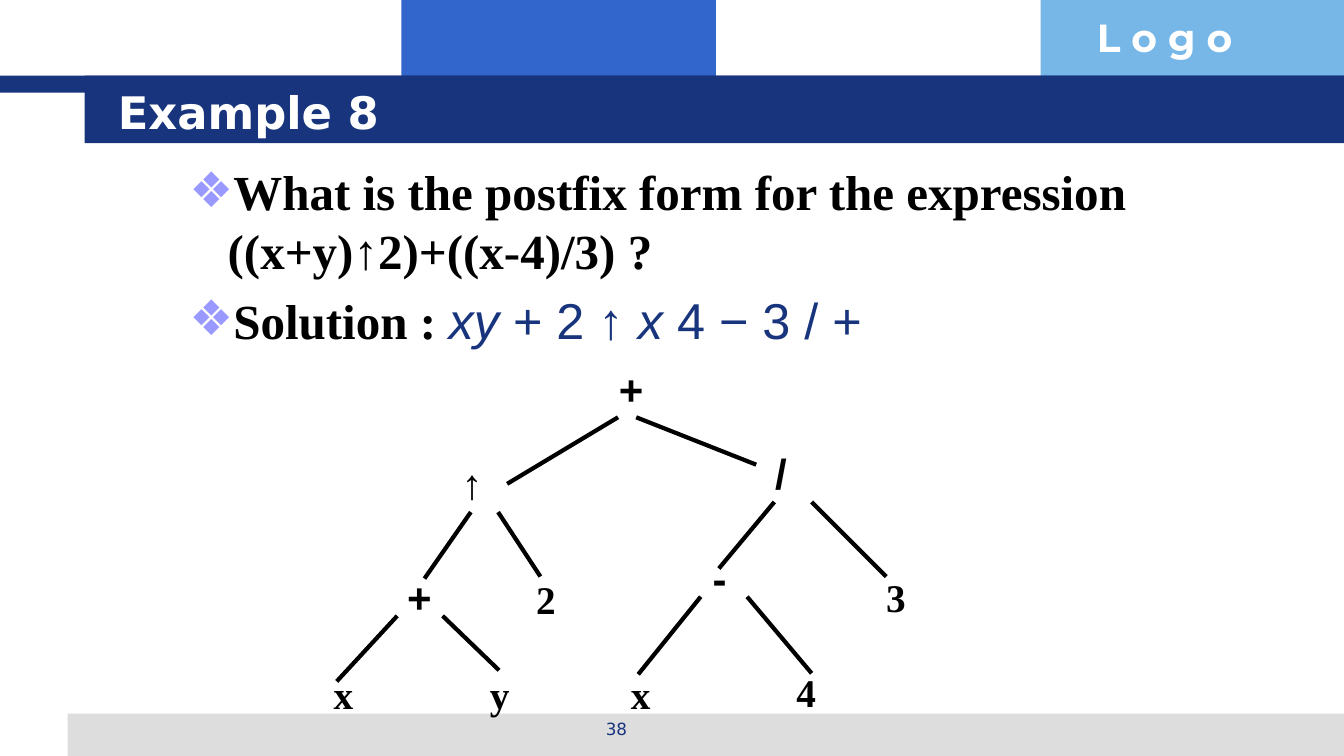
"""Build the Example 8 slide: postfix form of an expression and its tree."""
from dataclasses import dataclass

from lxml import etree
from pptx import Presentation
from pptx.dml.color import RGBColor as RGB
from pptx.enum.shapes import MSO_CONNECTOR as CONN, MSO_SHAPE as SHAPE
from pptx.enum.text import MSO_ANCHOR as ANCHOR, PP_ALIGN as ALIGN
from pptx.oxml.ns import qn
from pptx.util import Inches, Pt


@dataclass(frozen=True)
class Theme:
    navy: str = "17347D"
    blue: str = "3366CC"
    sky: str = "77B7E7"
    gray: str = "DDDDDD"
    lilac: str = "9999FF"
    white: str = "FFFFFF"
    black: str = "000000"
    title: int = 32
    question: int = 35
    answer: int = 36
    logo: int = 28
    operator: int = 30
    operand: int = 28
    number: int = 12
    edge: int = 3


T = Theme()
SANS, SERIF, UI = "Arial", "Times New Roman", "DejaVu Sans"


def add_box(s, x, y, w, h, wrap=True):
    tf = s.shapes.add_textbox(Inches(x), Inches(y), Inches(w), Inches(h)).text_frame
    tf.word_wrap = wrap
    return tf


def add_run(p, text, size, font, color, bold=False, italic=False):
    r = p.add_run()
    r.text = text
    r.font.size, r.font.name = Pt(size), font
    r.font.bold, r.font.italic = bold, italic
    r.font.color.rgb = RGB.from_string(color)


prs = Presentation()
prs.slide_width, prs.slide_height = Inches(13.33), Inches(7.5)
s = prs.slides.add_slide(prs.slide_layouts[6])

bands = [
    (3.98, 0, 3.12, 0.92, T.blue),
    (10.32, 0, 3.01, 0.92, T.sky),
    (0.67, 7.08, 12.66, 0.42, T.gray),
    (0, 0.75, 13.33, 0.17, T.navy),
    (0.84, 0.75, 12.49, 0.67, T.navy),
]
for x, y, w, h, color in bands:
    sp = s.shapes.add_shape(SHAPE.RECTANGLE, Inches(x), Inches(y), Inches(w), Inches(h))
    sp.shadow.inherit = False
    sp.fill.solid()
    sp.fill.fore_color.rgb = RGB.from_string(color)
    sp.line.fill.background()

tf = add_box(s, 10.78, 0.08, 2.55, 0.57)
add_run(tf.paragraphs[0], "L o g o", T.logo, "Montserrat", T.white, bold=True)

tf = add_box(s, 4.56, 7.08, 3.11, 0.35)
tf.paragraphs[0].alignment = ALIGN.CENTER
add_run(tf.paragraphs[0], "38", T.number, UI, T.navy)

tf = add_box(s, 1.07, 0.8, 11.38, 0.62)
tf.vertical_anchor = ANCHOR.MIDDLE
add_run(tf.paragraphs[0], "Example 8", T.title, UI, T.white, bold=True)

tf = add_box(s, 1.78, 1.55, 9.83, 5.28)
question, solution = tf.paragraphs[0], tf.add_paragraph()
for p in (question, solution):
    pPr = p._p.get_or_add_pPr()
    pPr.set("marL", str(Inches(0.38)))
    pPr.set("indent", str(-Inches(0.38)))
    bu_color = etree.SubElement(pPr, qn("a:buClr"))
    etree.SubElement(bu_color, qn("a:srgbClr"), val=T.lilac)
    etree.SubElement(pPr, qn("a:buFont"), typeface=UI)
    etree.SubElement(pPr, qn("a:buChar"), char="❖")
solution.space_before = Pt(7)
add_run(question, "What is the postfix form for the expression ((x+y)↑2)+((x-4)/3) ?",
        T.question, SERIF, T.black, bold=True)
add_run(solution, "Solution : ", T.question, SERIF, T.black, bold=True)
for text, italic in [("xy ", True), ("+ 2 ↑ ", False), ("x ", True), ("4 − 3 / +", False)]:
    add_run(solution, text, T.answer, SANS, T.navy, italic=italic)

edges = [
    (6.13, 4.14, 5.03, 4.8), (6.31, 4.14, 7.5, 4.61),
    (4.67, 5.08, 4.21, 5.74), (4.94, 5.08, 5.36, 5.72),
    (3.94, 6.11, 3.34, 6.76), (4.39, 6.11, 4.95, 6.65),
    (7.68, 4.98, 7.13, 5.64), (8.05, 4.98, 8.79, 5.72),
    (6.95, 5.92, 6.33, 6.69), (7.41, 5.92, 8.05, 6.68),
]
for x1, y1, x2, y2 in edges:
    edge = s.shapes.add_connector(CONN.STRAIGHT, Inches(x1), Inches(y1), Inches(x2), Inches(y2))
    edge.line.width = Pt(T.edge)
    edge.line.color.rgb = RGB.from_string(T.black)
    etree.SubElement(edge._element.spPr, qn("a:effectLst"))

operators = [
    ("+", 6.04, 3.56, 0.45), ("↑", 4.48, 4.49, 0.41), ("/", 7.59, 4.39, 0.32),
    ("+", 3.94, 5.62, 0.44), ("-", 6.97, 5.43, 0.34),
]
for text, x, y, w in operators:
    tf = add_box(s, x, y, w, 0.6, wrap=False)
    add_run(tf.paragraphs[0], text, T.operator, SANS, T.black, bold=True)

operands = [
    ("2", 5.22, 5.66), ("3", 8.69, 5.64), ("x", 3.21, 6.6),
    ("y", 4.76, 6.6), ("x", 6.16, 6.6), ("4", 7.8, 6.58),
]
for text, x, y in operands:
    tf = add_box(s, x, y, 0.4, 0.57, wrap=False)
    add_run(tf.paragraphs[0], text, T.operand, SERIF, T.black, bold=True)

prs.save("out.pptx")
